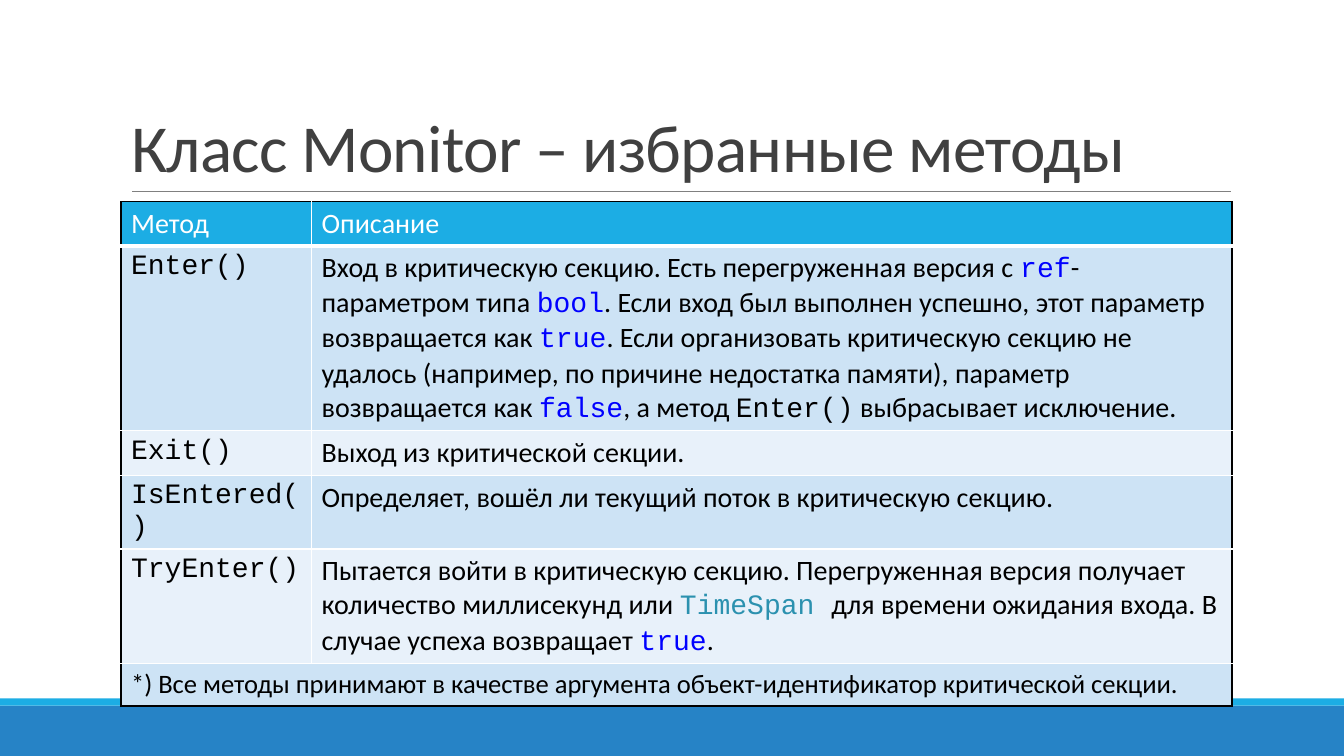
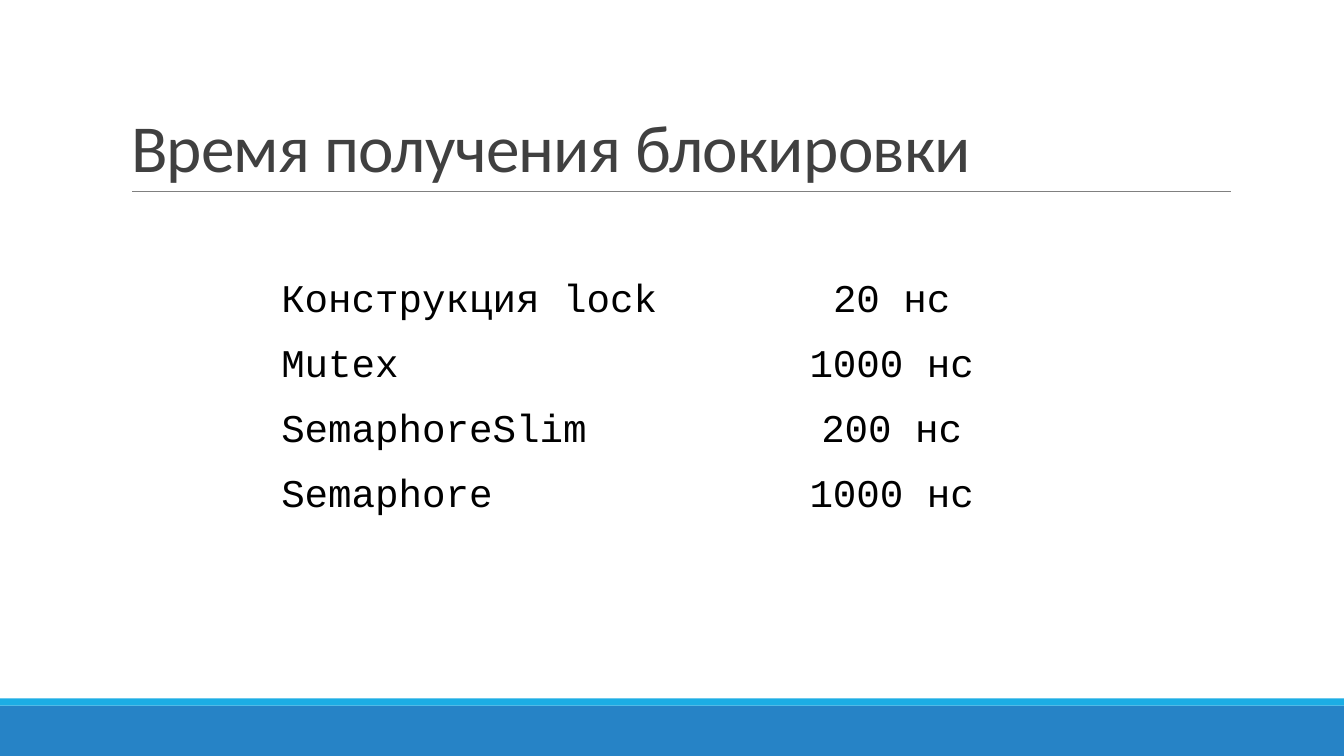
"""Build two slides on the Monitor class methods and on lock acquisition times."""
from dataclasses import dataclass

from lxml.etree import SubElement
from pptx import Presentation
from pptx.dml.color import RGBColor
from pptx.enum.shapes import MSO_CONNECTOR, MSO_SHAPE
from pptx.enum.text import MSO_ANCHOR, MSO_AUTO_SIZE, PP_ALIGN
from pptx.oxml.ns import qn
from pptx.util import Emu, Pt


@dataclass(frozen=True)
class Theme:
    sans: str = "Calibri"
    mono: str = "Courier New"
    title: str = "404040"
    text: str = "000000"
    white: str = "FFFFFF"
    keyword: str = "0000FF"
    type_name: str = "2B91AF"
    rule: str = "808080"
    accent: str = "1CADE4"
    base: str = "2683C6"
    bands: tuple = ("E8F1FA", "CDE3F5")
    title_size: int = 48
    table_size: int = 20
    note_size: int = 19
    times_size: int = 28


T = Theme()
PX = Emu(9144)
W, H = 1333, 750


def write(p, text, font=T.sans, size=T.table_size, color=T.text, spacing=0, align=PP_ALIGN.LEFT):
    p.alignment = align
    r = p.add_run()
    r.text = text
    r.font.name = font
    r.font.size = Pt(size)
    r.font.bold = False
    r.font.color.rgb = RGBColor.from_string(color)
    if spacing:
        r.font._element.set("spc", str(spacing))


def paint(cell, fill, **borders):
    tcPr = cell._tc.get_or_add_tcPr()
    for side in "LRTB":
        color, width = borders.get(side, (T.white, 1))
        ln = SubElement(tcPr, qn(f"a:ln{side}"), w=str(Pt(width)))
        SubElement(SubElement(ln, qn("a:solidFill")), qn("a:srgbClr"), val=color)
    cell.fill.solid()
    cell.fill.fore_color.rgb = RGBColor.from_string(fill)


prs = Presentation()
prs.slide_width, prs.slide_height = W * PX, H * PX
layout = prs.slide_layouts[5]
title = layout.placeholders[0]
title.left, title.top, title.width, title.height = 120 * PX, 31 * PX, 1100 * PX, 159 * PX
title.text_frame.vertical_anchor = MSO_ANCHOR.BOTTOM
title.text_frame.auto_size = MSO_AUTO_SIZE.NONE

slides = []
for heading in ("Класс Monitor – избранные методы", "Время получения блокировки"):
    s = prs.slides.add_slide(layout)
    p = s.shapes.title.text_frame.paragraphs[0]
    p.line_spacing = 0.85
    write(p, heading, size=T.title_size, color=T.title, spacing=-50)
    slides.append(s)
methods, times = slides

for top, height, color in ((700, 50, T.base), (693, 7, T.accent)):
    sp = methods.shapes.add_shape(MSO_SHAPE.RECTANGLE, 0, top * PX, W * PX, height * PX)
    sp.shadow.inherit = False
    sp.fill.solid()
    sp.fill.fore_color.rgb = RGBColor.from_string(color)
    sp.line.fill.background()
    layout.shapes.element.append(sp.element)
rule = methods.shapes.add_connector(MSO_CONNECTOR.STRAIGHT, 131 * PX, 190 * PX, 1221 * PX, 190 * PX)
rule.line.color.rgb = RGBColor.from_string(T.rule)
rule.line.width = Pt(0.5)
SubElement(rule.element.spPr, qn("a:effectLst"))
layout.shapes.element.append(rule.element)

HEAD = {"color": T.white}
BODY = {}
CODE = {"font": T.mono}
KEY = {"font": T.mono, "color": T.keyword}
TYPE = {"font": T.mono, "color": T.type_name}
NOTE = {"size": T.note_size}
rows = [
    ([("Метод", HEAD)], [("Описание", HEAD)]),
    ([("Enter()", CODE)], [
        ("Вход в критическую секцию. Есть перегруженная версия с ", BODY),
        ("ref", KEY),
        ("-параметром типа ", BODY),
        ("bool", KEY),
        (". Если вход был выполнен успешно, этот параметр возвращается как ", BODY),
        ("true", KEY),
        (". Если организовать критическую секцию не удалось (например, по причине "
         "недостатка памяти), параметр возвращается как ", BODY),
        ("false", KEY),
        (", а метод ", BODY),
        ("Enter()", CODE),
        (" выбрасывает исключение.", BODY),
    ]),
    ([("Exit()", CODE)], [("Выход из критической секции.", BODY)]),
    ([("IsEntered()", CODE)],
     [("Определяет, вошёл ли текущий поток в критическую секцию.", BODY)]),
    ([("TryEnter()", CODE)], [
        ("Пытается войти в критическую секцию. Перегруженная версия получает "
         "количество миллисекунд или ", BODY),
        ("TimeSpan ", TYPE),
        ("для времени ожидания входа. В случае успеха возвращает ", BODY),
        ("true", KEY),
        (".", BODY),
    ]),
    ([("*) Все методы принимают в качестве аргумента объект-идентификатор "
       "критической секции.", NOTE)], []),
]
last = len(rows) - 1
tbl = methods.shapes.add_table(len(rows), 2, 120 * PX, 200 * PX, 1102 * PX, 41 * len(rows) * PX).table
tbl.horz_banding = False
for col, width in zip(tbl.columns, (189, 913)):
    col.width = width * PX
tbl.cell(last, 0).merge(tbl.cell(last, 1))
edge = (T.text, 1)
for i, row in enumerate(rows):
    for j, runs in enumerate(row):
        borders = {}
        if j == 0 or i == last:
            borders["L"] = edge
        if j == 1 or i == last:
            borders["R"] = edge
        if i == 0:
            borders.update(T=edge, B=(T.white, 3))
        if i == last:
            borders["B"] = edge
        cell = tbl.cell(i, j)
        paint(cell, T.bands[i % 2] if i else T.accent, **borders)
        for text, style in runs:
            write(cell.text_frame.paragraphs[0], text, **style)

locks = [
    ("Конструкция lock", "20 нс"),
    ("Mutex", "1000 нс"),
    ("SemaphoreSlim", "200 нс"),
    ("Semaphore", "1000 нс"),
]
tbl = times.shapes.add_table(len(locks), 2, 275 * PX, 267 * PX, 752 * PX, 258 * PX).table
tbl.first_row = tbl.horz_banding = False
for col, width in zip(tbl.columns, (467, 285)):
    col.width = width * PX
for i, row in enumerate(locks):
    for j, (text, align) in enumerate(zip(row, (PP_ALIGN.LEFT, PP_ALIGN.CENTER))):
        cell = tbl.cell(i, j)
        paint(cell, T.white)
        cell.vertical_anchor = MSO_ANCHOR.MIDDLE
        cell.margin_left = cell.margin_right = 4 * PX
        cell.margin_top = cell.margin_bottom = 3 * PX
        write(cell.text_frame.paragraphs[0], text, font=T.mono, size=T.times_size, align=align)

prs.save("out.pptx")
